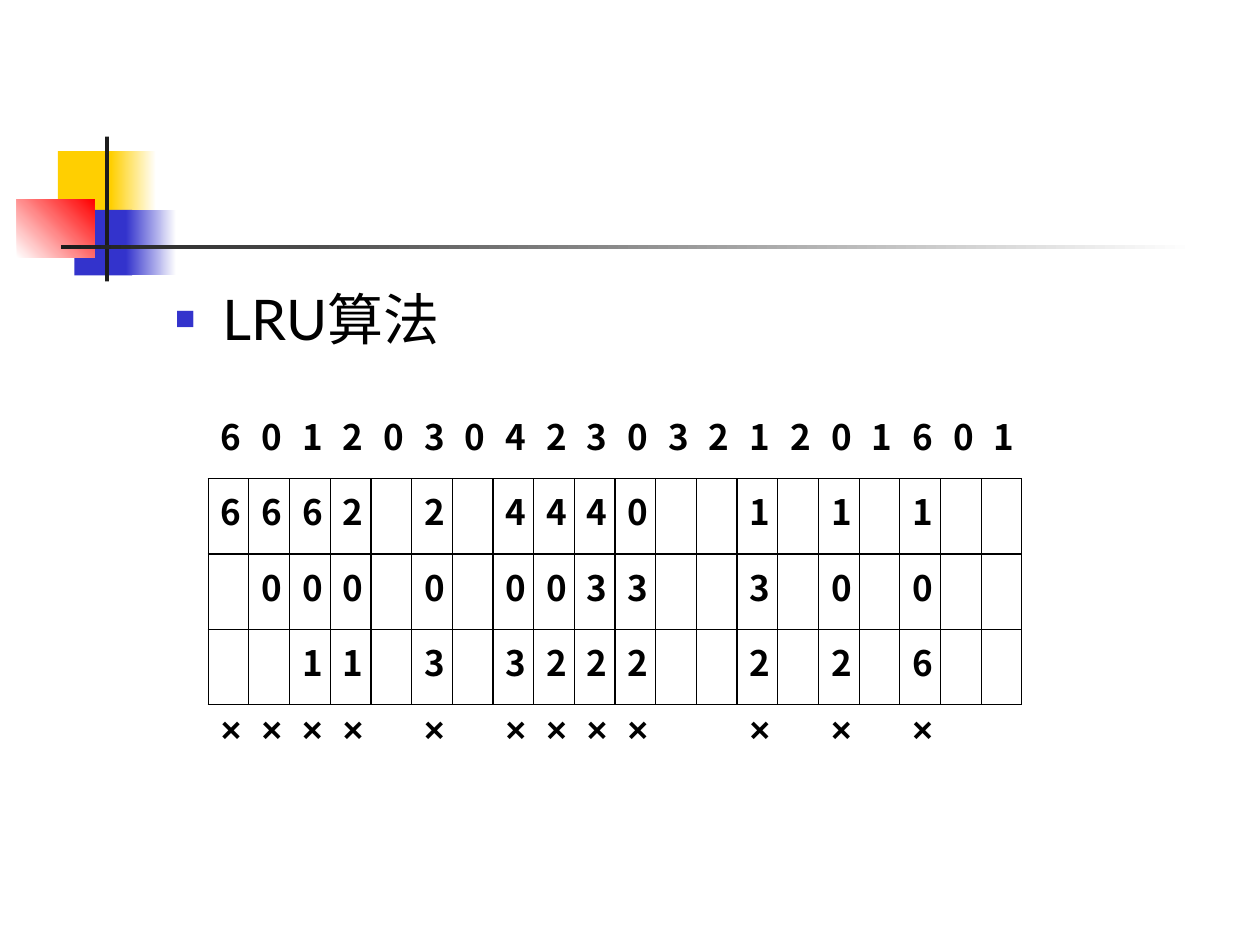
from lxml import etree
from pptx import Presentation
from pptx import util as u
from pptx.dml.color import RGBColor
from pptx.enum import shapes
from pptx.oxml import ns

COLORS = {
    "yellow": "FFCF01",
    "blue": "3333CC",
    "red": "FF0000",
    "dark": "1C1C1C",
    "white": "FFFFFF",
    "black": "000000",
}
HEADING = "LRU算法"
HEADING_FONT, DIGIT_FONT, MARK_FONT = "Lato", "Noto Sans CJK SC", "Arial"

REFERENCES = "60120304230321201601"
FRAMES = [
    "6662 2 4440  1 1 1  ",
    " 000 0 0033  3 0 0  ",
    "  11 3 3222  2 2 6  ",
]
FAULTS = "".join("×" if page.strip() else " " for page in FRAMES[0])
ROWS = [REFERENCES, *FRAMES, FAULTS]

# (left, top, width, height), colour stops, angle
DECORATIONS = [
    ((33.12, 86.4, 34.56, 37.44), ["yellow"], 0),
    ((63.36, 86.4, 25.92, 37.44), ["yellow", "white"], 0),
    ((42.48, 119.9, 33.12, 37.44), ["blue"], 0),
    ((72, 119.9, 28.8, 37.44), ["blue", "white"], 0),
    ((9.72, 113.76, 44.28, 33.48), ["white", "red"], 45),
    ((60, 78, 2.3, 82.8), ["dark"], 0),
    ((34.8, 140.1, 648, 2.5), ["dark", "white"], 0),
]
BODY_BOX = (92.88, 159.12, 589.68, 324)
TABLE_LEFT, TABLE_TOP = 119, 230.4
COLUMN_WIDTH, ROW_HEIGHT = 23.25, 43.1
BORDER_WIDTH = 0.75
NO_STYLE = "{2D5ABB26-0587-4C30-8999-92F81FD0307C}"


def color(name):
    return RGBColor.from_string(COLORS[name])


def points(values):
    return [u.Pt(value) for value in values]


def add_element(parent, tag, **attributes):
    return etree.SubElement(parent, ns.qn(tag), attributes)


def format_text(paragraph, size, name, bold=False):
    font = paragraph.font
    font.size, font.name, font.bold = u.Pt(size), name, bold
    font.color.rgb = color("black")
    properties = paragraph._p.pPr.find(ns.qn("a:defRPr"))
    add_element(properties, "a:ea", typeface=DIGIT_FONT)


def add_decoration(slide, box, stops, angle):
    shape = slide.shapes.add_shape(shapes.MSO_SHAPE.RECTANGLE, *points(box))
    shape.shadow.inherit = False
    shape.line.fill.background()
    if len(stops) == 1:
        shape.fill.solid()
        shape.fill.fore_color.rgb = color(stops[0])
        return
    shape.fill.gradient()
    shape.fill.gradient_angle = angle
    for stop, name in zip(shape.fill.gradient_stops, stops):
        stop.color.rgb = color(name)


def fill_body(body):
    body.left, body.top, body.width, body.height = points(BODY_BOX)
    paragraph = body.text_frame.paragraphs[0]
    paragraph.text = HEADING
    paragraph.space_before = u.Pt(0)
    properties = paragraph._p.get_or_add_pPr()
    properties.set("marL", str(u.Pt(27)))
    properties.set("indent", str(u.Pt(-27)))
    bullet_color = add_element(properties, "a:buClr")
    add_element(bullet_color, "a:srgbClr", val=COLORS["blue"])
    add_element(properties, "a:buSzPct", val="60000")
    add_element(properties, "a:buChar", char="■")
    format_text(paragraph, 32, HEADING_FONT)


def add_border(cell, side):
    line = add_element(cell._tc.get_or_add_tcPr(), f"a:ln{side}", w=str(u.Pt(BORDER_WIDTH)))
    fill = add_element(line, "a:solidFill")
    add_element(fill, "a:srgbClr", val=COLORS["black"])


def add_page_table(slide):
    columns, last = len(REFERENCES), len(ROWS) - 1
    box = (TABLE_LEFT, TABLE_TOP, columns * COLUMN_WIDTH, len(ROWS) * ROW_HEIGHT)
    table = slide.shapes.add_table(len(ROWS), columns, *points(box)).table
    table.first_row = table.horz_banding = False
    table._tbl.tblPr.find(ns.qn("a:tableStyleId")).text = NO_STYLE
    for column in table.columns:
        column.width = u.Pt(COLUMN_WIDTH)
    for row_index, values in enumerate(ROWS):
        table.rows[row_index].height = u.Pt(ROW_HEIGHT)
        sides = {0: "B", last: "T"}.get(row_index, "LRTB")
        for column_index, value in enumerate(values):
            cell = table.cell(row_index, column_index)
            for side in sides:
                add_border(cell, side)
            cell.fill.background()
            if value != " ":
                paragraph = cell.text_frame.paragraphs[0]
                paragraph.text = value
                name = MARK_FONT if row_index == last else DIGIT_FONT
                format_text(paragraph, 20, name, bold=True)


def main():
    presentation = Presentation()
    presentation.slide_width, presentation.slide_height = points((720, 540))
    slide = presentation.slides.add_slide(presentation.slide_layouts[1])
    title, body = slide.placeholders
    title._element.getparent().remove(title._element)
    for decoration in DECORATIONS:
        add_decoration(slide, *decoration)
    fill_body(body)
    add_page_table(slide)
    presentation.save("out.pptx")


if __name__ == "__main__":
    main()
